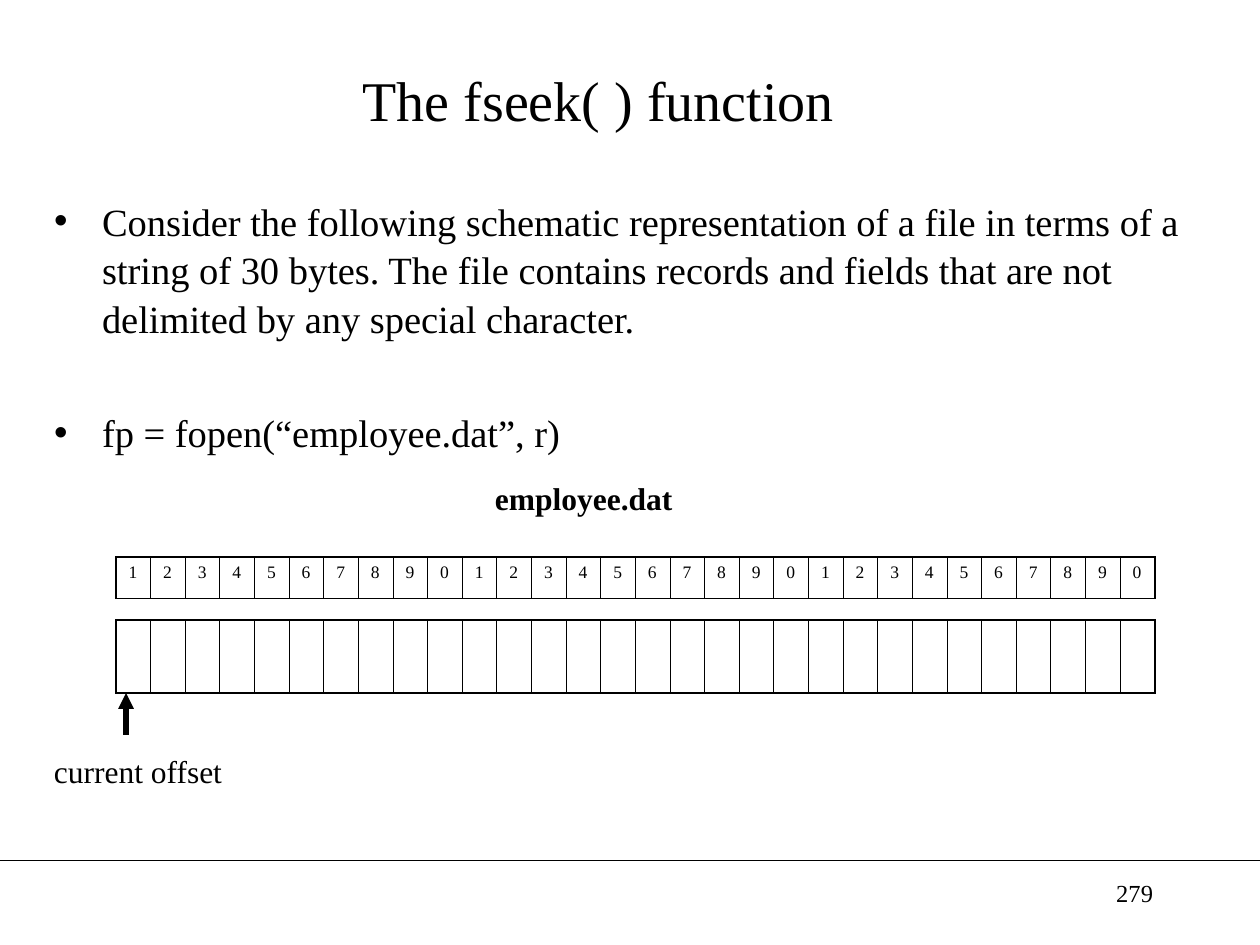
"""Build the fseek( ) slide: two bullets and a byte map of employee.dat."""
from lxml import etree
from pptx import Presentation, util as u
from pptx.dml.color import RGBColor
from pptx.enum import shapes, text
from pptx.oxml.ns import qn

WIDE, HIGH = 10, 7.5
INK = "000000"
FONT = "Times New Roman"
COUNT = 30
GRID = (0.92, 8.25)
TITLE = "The fseek( ) function"
POINTS = [
    "Consider the following schematic representation of a file in terms of a "
    "string of 30 bytes. The file contains records and fields that are not "
    "delimited by any special character.",
    "fp = fopen(“employee.dat”, r)",
]
ROWS = [
    (4.42, 0.33, [str(n % 10) for n in range(1, COUNT + 1)]),
    (4.92, 0.58, [""] * COUNT),
]
LABELS = [
    ("employee.dat", (3.83, 3.75, 1.75, 0.4), dict(size=18, bold=True)),
    ("current offset", (0.33, 5.92, 1.75, 0.4), dict(size=18)),
    ("279", (7.17, 6.92, 2.08, 0.5), dict(size=14, align="RIGHT")),
]
LINES = [
    ((0, 6.83), (WIDE, 6.83), 0.75, False),
    ((1, 5.83), (1, 5.5), 3, True),
]


def tint(code):
    return RGBColor.from_string(code)


def place(shape, box):
    shape.left, shape.top, shape.width, shape.height = map(u.Inches, box)


def write(para, words, size, bold=False, align="LEFT", gap=0, lead=None):
    para.text = words
    para.alignment = getattr(text.PP_ALIGN, align)
    para.space_before = u.Pt(gap)
    para.line_spacing = lead
    font = para.font
    font.name, font.size, font.bold = FONT, u.Pt(size), bold
    font.color.rgb = tint(INK)


def fill(shape, box, items, **form):
    place(shape, box)
    frame = shape.text_frame
    frame.word_wrap = True
    frame.auto_size = text.MSO_AUTO_SIZE.NONE
    for i, item in enumerate(items):
        para = frame.add_paragraph() if i else frame.paragraphs[0]
        write(para, item, **{**form, "gap": form.get("gap", 0) if i else 0})
    return frame


def border(cell, **sides):
    props = cell._tc.get_or_add_tcPr()
    for side in "LRTB":
        edge = etree.SubElement(props, qn("a:ln" + side), w=str(u.Pt(sides.get(side, 1.08))))
        solid = etree.SubElement(edge, qn("a:solidFill"))
        etree.SubElement(solid, qn("a:srgbClr"), val=INK)


def strip(slide, top, high, items):
    left, wide = GRID
    box = map(u.Inches, (left, top, wide, high))
    table = slide.shapes.add_table(1, COUNT, *box).table
    for i, item in enumerate(items):
        table.columns[i].width = u.Inches(wide / COUNT)
        cell = table.cell(0, i)
        border(cell, L=0.45 if i else 1.08, R=0.45 if i < COUNT - 1 else 1.08)
        cell.fill.background()
        write(cell.text_frame.paragraphs[0], item, size=10)


def rule(slide, start, end, width, arrow):
    ends = map(u.Inches, start + end)
    line = slide.shapes.add_connector(shapes.MSO_CONNECTOR.STRAIGHT, *ends)
    line.line.color.rgb = tint(INK)
    line.line.width = u.Pt(width)
    props = line._element.spPr
    if arrow:
        etree.SubElement(props.find(qn("a:ln")), qn("a:tailEnd"), type="triangle")
    etree.SubElement(props, qn("a:effectLst"))


def main():
    deck = Presentation()
    deck.slide_width, deck.slide_height = u.Inches(WIDE), u.Inches(HIGH)
    slide = deck.slides.add_slide(deck.slide_layouts[1])
    fill(slide.shapes.title, (0.5, 0.25, 8.5, 1.08), [TITLE], size=32, align="CENTER")
    body = fill(slide.placeholders[1], (0.33, 1.5, 9.25, 3), POINTS,
                size=22, gap=37.5, lead=1.05)
    for para in body.paragraphs:
        props = para._p.get_or_add_pPr()
        props.set("marL", str(u.Inches(0.38)))
        props.set("indent", str(u.Inches(-0.38)))
    for row in ROWS:
        strip(slide, *row)
    for line in LINES:
        rule(slide, *line)
    for words, box, form in LABELS:
        fill(slide.shapes.add_textbox(0, 0, 0, 0), box, [words], **form)
    deck.save("out.pptx")


if __name__ == "__main__":
    main()
